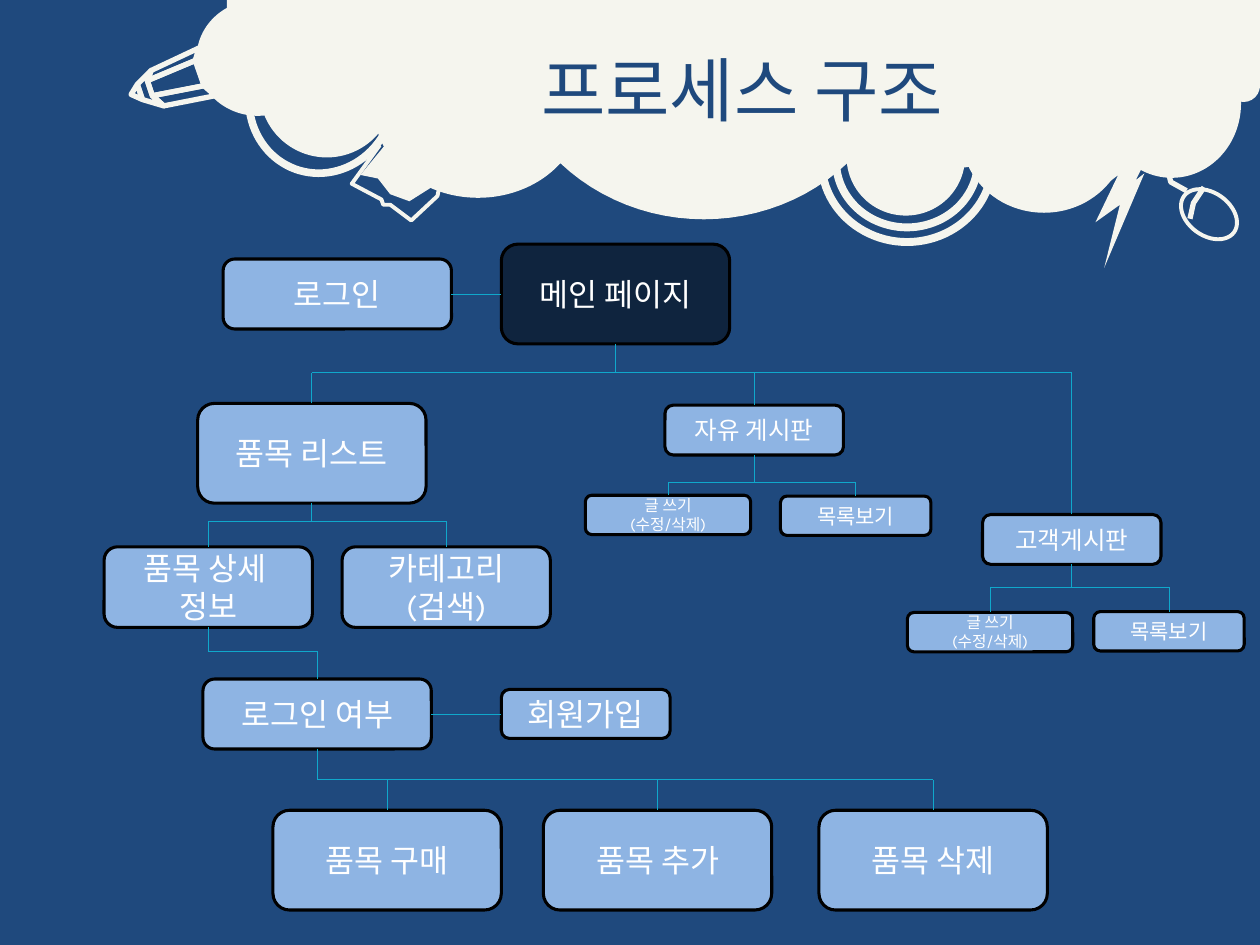
from math import cos, pi, sin

from pptx import Presentation
from pptx.dml.color import RGBColor
from pptx.enum.shapes import MSO_CONNECTOR, MSO_SHAPE
from pptx.enum.text import MSO_ANCHOR, PP_ALIGN
from pptx.oxml.ns import qn
from pptx.util import Pt
from lxml import etree

RECTANGLE, OVAL = MSO_SHAPE.RECTANGLE, MSO_SHAPE.OVAL
ROUNDED, DONUT, ARC = MSO_SHAPE.ROUNDED_RECTANGLE, MSO_SHAPE.DONUT, MSO_SHAPE.BLOCK_ARC
STRAIGHT = MSO_CONNECTOR.STRAIGHT
TOP, LEFT, BOTTOM, RIGHT = range(4)
COLORS = {name: RGBColor.from_string(value) for name, value in {
    "navy": "1F497D", "cream": "F5F5EE", "dark": "0F243E", "blue": "8EB4E3",
    "black": "000000", "white": "FFFFFF", "line": "10A8CB"}.items()}


def write_text(shape, text, size, color, font="Karla"):
    frame = shape.text_frame
    frame.word_wrap = True
    frame.vertical_anchor = MSO_ANCHOR.MIDDLE
    frame.text = text
    for paragraph in frame.paragraphs:
        paragraph.alignment = PP_ALIGN.CENTER
        for run in paragraph.runs:
            run.font.size = Pt(size)
            run.font.name = font
            run.font.color.rgb = COLORS[color]


def paint(shape, fill=None, line=None, width=0):
    shape.shadow.inherit = False
    if fill:
        shape.fill.solid()
        shape.fill.fore_color.rgb = COLORS[fill]
    else:
        shape.fill.background()
    if line:
        shape.line.color.rgb = COLORS[line]
        shape.line.width = Pt(width)
    else:
        shape.line.fill.background()


presentation = Presentation()
presentation.slide_width, presentation.slide_height = Pt(720), Pt(540)
slide = presentation.slides.add_slide(presentation.slide_layouts[5])
shapes = slide.shapes
slide.background.fill.solid()
slide.background.fill.fore_color.rgb = COLORS["navy"]

# Cloud: band and round puffs
for preset, left, top, width, height in [
        (RECTANGLE, 129.6, 0, 590.4, 50.4), (OVAL, 549.4, 33, 94.3, 88.6),
        (OVAL, 213.8, 11.5, 118.8, 101.5), (OVAL, 148.3, 13, 77, 77),
        (OVAL, 630, 16.6, 79.2, 85), (OVAL, 483.8, 56.2, 67.7, 67),
        (OVAL, 701.3, 39.6, 18.7, 18.7), (OVAL, 112.3, 0, 70, 66.2)]:
    paint(shapes.add_shape(preset, Pt(left), Pt(top), Pt(width), Pt(height)), fill="cream")

ring = shapes.add_shape(DONUT, Pt(469.4), Pt(45.4), Pt(97.9), Pt(92.9))
ring.adjustments[0] = 0.09
paint(ring, line="cream", width=4.5)

arc = shapes.add_shape(ARC, Pt(140.4), Pt(8.6), Pt(87.1), Pt(92.9))
for index, value in enumerate([108, 202.84, 0.05]):
    arc.adjustments[index] = value
arc.rotation = 200.2
paint(arc, fill="cream")

mouse = shapes.add_shape(OVAL, Pt(673.2), Pt(110.2), Pt(35.3), Pt(24.5))
mouse.rotation = 35.7
paint(mouse, line="cream", width=2.25)

# Drawn outlines: (line width or 0 for filled, closed, points)
outlines = []
# Cloud: lower halves of two large puffs
for center_x, center_y, radius_x, radius_y in [(402.2, 16.6, 115.6, 108.7), (547, 7, 72.4, 88.8)]:
    outlines.append((0, True, [(center_x + radius_x * cos(pi * step / 48),
                                center_y + radius_y * sin(pi * step / 48))
                               for step in range(49)]))
outlines += [
    # Lightning
    (0, True, [(630, 107), (639, 100), (626, 127), (640, 117), (631, 153),
               (654, 99), (649, 103), (659, 83), (646, 91), (654, 63)]),
    # Book: pages and cover
    (0, True, [(234, 97), (229, 87), (220, 83), (206, 100), (216, 102), (223, 111),
               (234, 115), (253, 103), (245, 97)]),
    (2.25, False, [(217, 83), (201, 105), (218, 114), (219, 117), (223, 117),
                   (235, 126), (250, 112), (252, 102)]),
    # Mouse: button line and cable
    (3, False, [(680, 125), (682, 116), (688, 107)]),
    (3, False, [(678, 109), (669, 104), (666, 91), (661, 83)]),
]
# Pencil: faces between named corners
corners = {"A": (116.6, 49), "B": (87.1, 54.7), "C": (93.6, 60.5), "D": (123.1, 54.7),
           "E": (113.8, 27.4), "F": (86.4, 40.3), "G": (84.2, 46.1), "H": (111.6, 34.6),
           "K": (78.5, 48.2), "N": (81.4, 56.9), "O": (74.9, 54)}
for face in ["ABCD", "EFGH", "HGBA", "FKNCBG", "KON"]:
    outlines.append((3, True, [corners[name] for name in face]))

for line_width, closed, points in outlines:
    points = [(Pt(x), Pt(y)) for x, y in points]
    builder = shapes.build_freeform(*points[0])
    builder.add_line_segments(points[1:], close=closed)
    outline = builder.convert_to_shape()
    if line_width:
        paint(outline, line="cream", width=line_width)
    else:
        paint(outline, fill="cream")

# Title, in front of the cloud
title = shapes.title
title.left, title.top, title.width, title.height = Pt(151.2), Pt(5.8), Pt(545.8), Pt(90)
write_text(title, "프로세스 구조", size=40, color="navy")
title._element.getparent().append(title._element)

# Process boxes: text, left, top, size kind
kinds = {"large": (130.5, 57, 18), "flat": (130.5, 40, 18), "medium": (119, 46, 18),
         "join": (96.5, 28, 18), "board": (102, 28.5, 14),
         "view": (86, 22.5, 12), "write": (94.5, 22.5, 9)}
boxes = {}
for name, text, left, top, kind in [
        ("main", "메인 페이지", 286.5, 139.5, "large"),
        ("login", "로그인", 127.5, 148, "flat"),
        ("items", "품목 리스트", 113, 230.5, "large"),
        ("detail", "품목 상세 \n정보", 59.5, 312.5, "medium"),
        ("category", "카테고리\n(검색)", 195.5, 312.5, "medium"),
        ("check", "로그인 여부", 116, 388, "flat"),
        ("join", "회원가입", 286.5, 394, "join"),
        ("buy", "품목 구매", 156, 463, "large"),
        ("add", "품목 추가", 310.5, 463, "large"),
        ("delete", "품목 삭제", 468, 463, "large"),
        ("free", "자유 게시판", 380, 231.5, "board"),
        ("free write", "글 쓰기\n(수정/삭제)", 334.5, 283, "write"),
        ("free view", "목록보기", 446, 283.5, "view"),
        ("customer", "고객게시판", 561.5, 294, "board"),
        ("customer write", "글 쓰기\n(수정/삭제)", 518.5, 350, "write"),
        ("customer view", "목록보기", 625, 349.5, "view")]:
    width, height, size = kinds[kind]
    box = shapes.add_shape(ROUNDED, Pt(left), Pt(top), Pt(width), Pt(height))
    paint(box, fill="dark" if name == "main" else "blue", line="black", width=1.75)
    write_text(box, text, size=size, color="white")
    boxes[name] = box

# Connectors: a stem from each box to its level line, then the level line
connectors = []
for parent, level, children in [
        ("main", 213, ["items", "free", "customer"]),
        ("items", 298, ["detail", "category"]),
        ("detail", 372, ["check"]),
        ("check", 445.5, ["buy", "add", "delete"]),
        ("free", 275.5, ["free write", "free view"]),
        ("customer", 335.5, ["customer write", "customer view"])]:
    centers = []
    for name in [parent] + children:
        box = boxes[name]
        center = box.left + box.width // 2
        centers.append(center)
        stem = shapes.add_connector(STRAIGHT, center, box.top, center, Pt(level))
        stem.begin_connect(box, BOTTOM if name == parent else TOP)
        connectors.append(stem)
    connectors.append(shapes.add_connector(
        STRAIGHT, min(centers), Pt(level), max(centers), Pt(level)))

for first, second in [("login", "main"), ("check", "join")]:
    link = shapes.add_connector(STRAIGHT, 0, 0, 0, 0)
    link.begin_connect(boxes[first], RIGHT)
    link.end_connect(boxes[second], LEFT)
    connectors.append(link)

for connector in connectors:
    connector.line.color.rgb = COLORS["line"]
    connector.line.width = Pt(0.5)
    etree.SubElement(connector._element.spPr, qn("a:effectLst"))

presentation.save("out.pptx")
